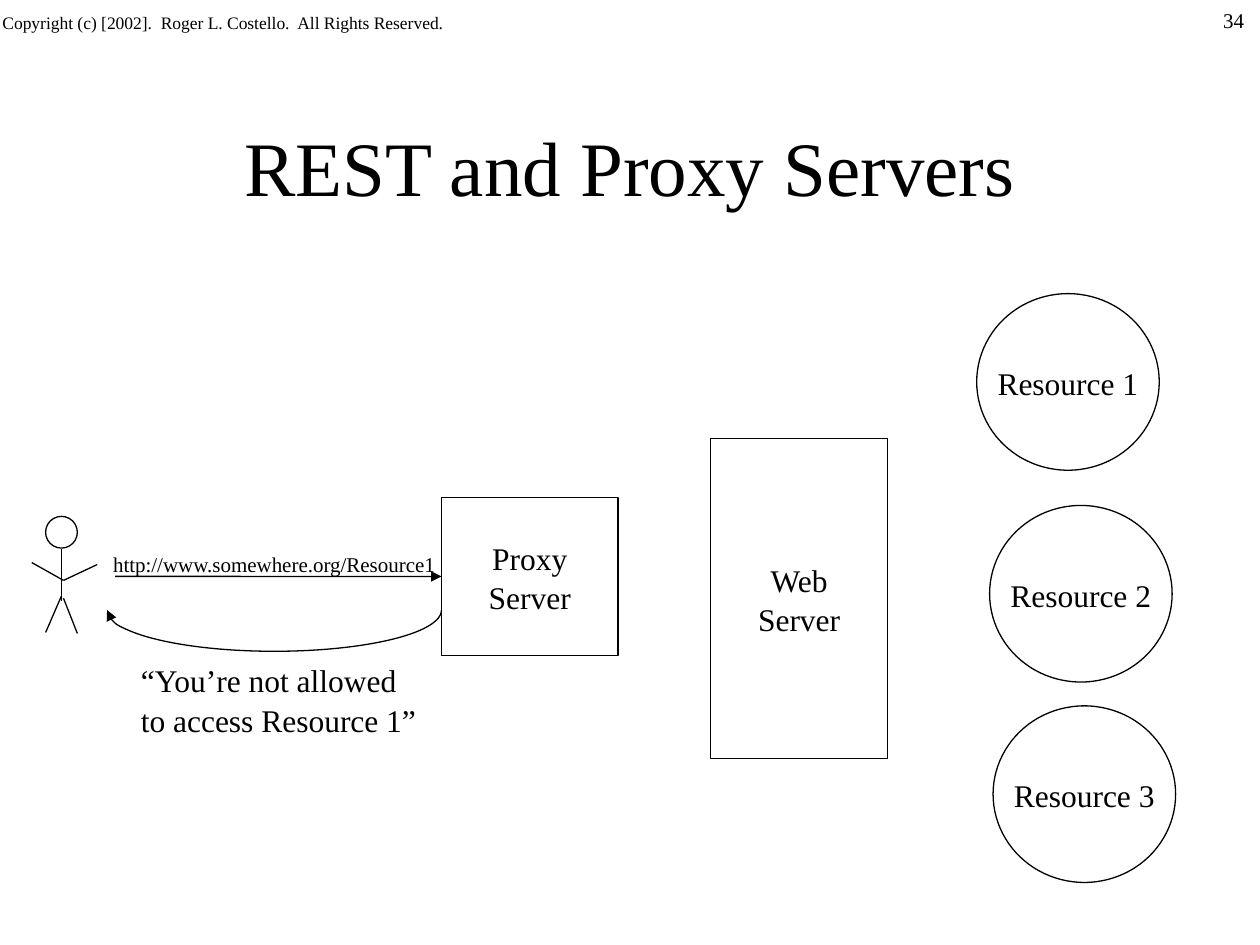
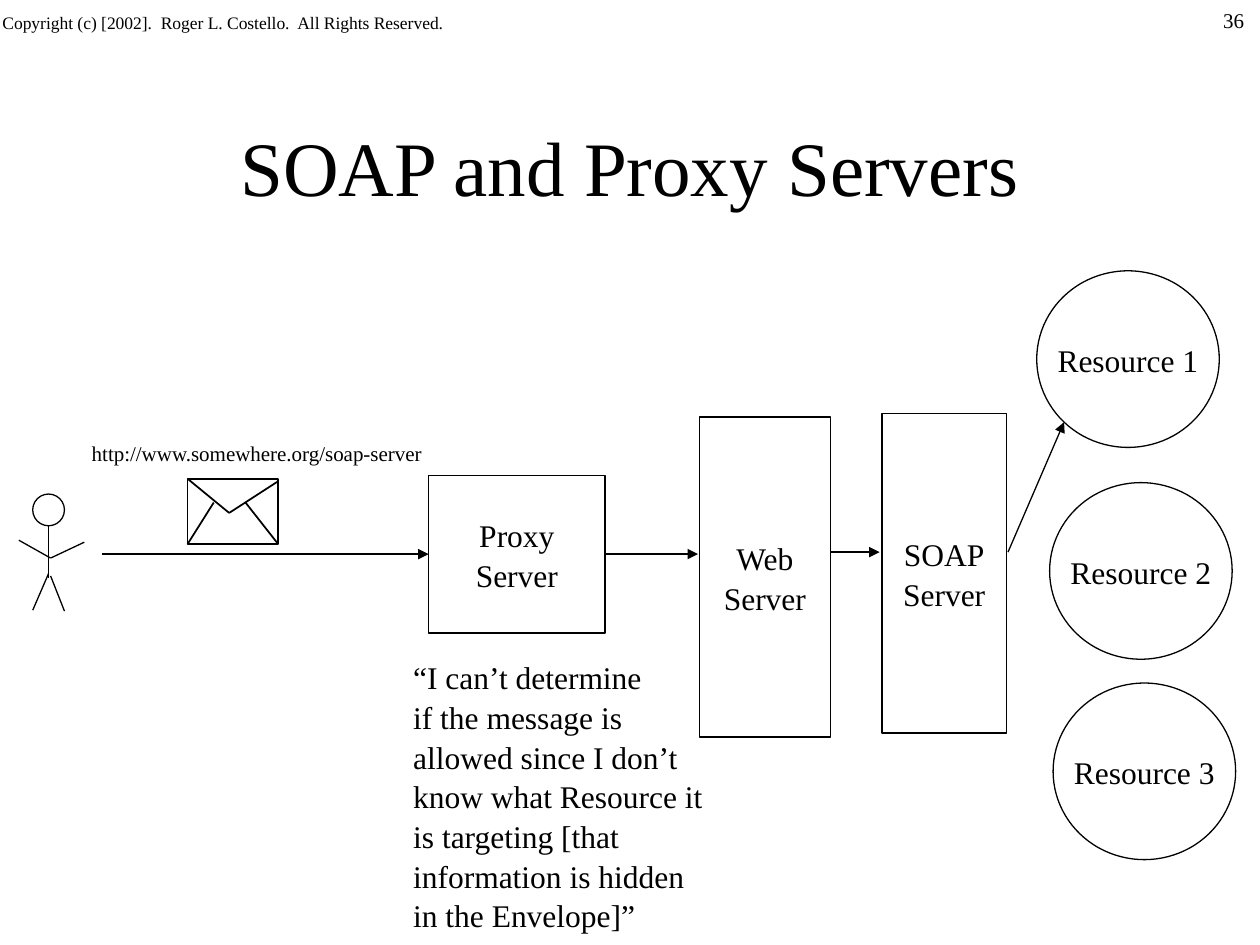
from lxml import etree
from pptx import Presentation
from pptx import util as u
from pptx.dml.color import RGBColor
from pptx.enum import shapes, text
from pptx.oxml.ns import qn

COLOURS = {"ink": "000000", "paper": "FFFFFF"}
FONT = "Times New Roman"
COPYRIGHT = "Copyright (c) [2002].  Roger L. Costello.  All Rights Reserved."
PROXY_LEFT, PROXY_SIZE = 8.26, (3.56, 3.18)
SERVER_HEIGHT = 6.45
RESOURCE_SIZE = (3.68, 3.56)
RESOURCE_OFFSETS = [(0, 0), (0.26, 4.27), (0.33, 8.31)]


def colour(name):
    """Return the named colour."""
    return RGBColor.from_string(COLOURS[name])


def cm(*lengths):
    """Turn centimetres into slide lengths."""
    return [u.Cm(length) for length in lengths]


def write(shape, lines, size, align=text.PP_ALIGN.LEFT, wrap=False):
    """Write one paragraph per line into a shape."""
    frame = shape.text_frame
    frame.word_wrap = wrap
    for index, line in enumerate(lines):
        para = frame.paragraphs[0] if index == 0 else frame.add_paragraph()
        para.alignment = align
        para.line_spacing = 1.05
        span = para.add_run()
        span.text = line
        span.font.name = FONT
        span.font.size = u.Pt(size)
        span.font.color.rgb = colour("ink")
    return frame


def add_text(page, box, lines, size):
    """Add an unwrapped text box that fits its text."""
    label = page.shapes.add_textbox(*cm(*box))
    frame = write(label, lines, size)
    frame.auto_size = text.MSO_AUTO_SIZE.SHAPE_TO_FIT_TEXT


def add_outline(parent, kind, box, lines=(), width=0.75):
    """Add a white outlined shape with centred text."""
    shape = parent.shapes.add_shape(kind, *cm(*box))
    shape.shadow.inherit = False
    shape.fill.solid()
    shape.fill.fore_color.rgb = colour("paper")
    shape.line.color.rgb = colour("ink")
    shape.line.width = u.Pt(width)
    if lines:
        frame = write(shape, lines, 18, text.PP_ALIGN.CENTER)
        frame.vertical_anchor = text.MSO_ANCHOR.MIDDLE
    return shape


def add_arrowhead(shape):
    """Put a triangle at the end of a line."""
    outline = shape.line.fill._xPr
    etree.SubElement(outline, qn("a:tailEnd"), type="triangle")


def add_line(parent, start, end, width=0.75, arrow=False):
    """Add a straight line, with an arrowhead if wanted."""
    line = parent.shapes.add_connector(
        shapes.MSO_CONNECTOR.STRAIGHT, *cm(*start, *end))
    line.line.color.rgb = colour("ink")
    line.line.width = u.Pt(width)
    if arrow:
        add_arrowhead(line)
    etree.SubElement(line._element.spPr, qn("a:effectLst"))
    return line


def add_strokes(parent, left, top, strokes, width=0.75):
    """Draw lines given relative to a corner."""
    for x1, y1, x2, y2 in strokes:
        add_line(parent, (left + x1, top + y1), (left + x2, top + y2), width)


def add_frame(deck, title, number):
    """Start a page with its copyright, number and title."""
    page = deck.slides.add_slide(deck.slide_layouts[6])
    page.background.fill.solid()
    page.background.fill.fore_color.rgb = colour("paper")
    add_text(page, (-0.2, 0.1, 9.68, 0.68), [COPYRIGHT], 10)
    add_text(page, (24.41, 0, 0.99, 0.76), [number], 12)
    heading = page.shapes.add_textbox(*cm(1.9, 1.7, 21.59, 3.18))
    frame = write(heading, [title], 44, text.PP_ALIGN.CENTER, wrap=True)
    frame.vertical_anchor = text.MSO_ANCHOR.MIDDLE
    return page


def add_person(page, left, top):
    """Draw a stick figure as one group."""
    person = page.shapes.add_group_shape()
    add_outline(person, shapes.MSO_SHAPE.OVAL, (left + 0.28, top, 0.64, 0.64))
    add_strokes(person, left, top, [
        (0.6, 0.65, 0.6, 1.7),
        (0.64, 1.29, 0, 0.93),
        (0.64, 1.29, 1.32, 0.97),
        (0.6, 1.6, 0.28, 2.34),
        (0.64, 1.65, 0.92, 2.36),
    ])


def add_client(page, left, top):
    """Draw the person, the request arrow and the proxy server."""
    proxy = add_outline(page, shapes.MSO_SHAPE.RECTANGLE,
                        (left + PROXY_LEFT, top, *PROXY_SIZE), ["Proxy", "Server"])
    add_person(page, left, top + 0.38)
    middle = top + PROXY_SIZE[1] / 2
    request = add_line(page, (left + 1.68, middle), (left + PROXY_LEFT, middle),
                       arrow=True)
    request.end_connect(proxy, 1)
    return proxy


def add_server(page, left, top, width, name):
    """Draw a tall server box."""
    return add_outline(page, shapes.MSO_SHAPE.RECTANGLE,
                       (left, top, width, SERVER_HEIGHT), [name, "Server"])


def add_resources(page, left, top):
    """Draw the column of resources."""
    for number, (dx, dy) in enumerate(RESOURCE_OFFSETS, 1):
        add_outline(page, shapes.MSO_SHAPE.OVAL,
                    (left + dx, top + dy, *RESOURCE_SIZE), [f"Resource {number}"])


def add_reply(page, left, top, width, height):
    """Draw the lower half of an ellipse as a reply arrow."""
    reply = add_outline(page, shapes.MSO_SHAPE.ARC, (left, top, width, height))
    reply.fill.background()
    reply.adjustments[0] = 0
    reply.adjustments[1] = 108
    add_arrowhead(reply)


def add_envelope(page, left, top, width, height):
    """Draw a sealed envelope as one group."""
    envelope = page.shapes.add_group_shape()
    add_outline(envelope, shapes.MSO_SHAPE.RECTANGLE,
                (left, top, width, height), width=1)
    add_strokes(envelope, left, top, [
        (0, 0, 0.84, 0.69),
        (0.84, 0.69, width, 0.05),
        (0, height, 0.53, 0.48),
        (width, height, 1.17, 0.48),
    ], width=1)


def build_rest(deck):
    """Build the page on REST."""
    page = add_frame(deck, "REST and Proxy Servers", "34")
    add_server(page, 14.33, 8.84, 3.56, "Web")
    add_resources(page, 19.69, 5.92)
    add_client(page, 0.64, 10.03)
    add_text(page, (2.03, 10.97, 7.06, 0.76),
             ["http://www.somewhere.org/Resource1"], 12)
    add_reply(page, 2.16, 11.47, 6.74, 1.66)
    add_text(page, (2.59, 13.16, 6.07, 1.78),
             ["“You’re not allowed", "to access Resource 1”"], 18)


def build_soap(deck):
    """Build the page on SOAP."""
    page = add_frame(deck, "SOAP and Proxy Servers", "36")
    add_server(page, 14.1, 8.41, 2.64, "Web")
    add_resources(page, 20.9, 5.46)
    proxy = add_client(page, 0.38, 9.58)
    add_text(page, (1.6, 8.74, 7.21, 0.76),
             ["http://www.somewhere.org/soap-server"], 12)
    add_server(page, 17.78, 8.33, 2.51, "SOAP")
    forward = add_line(page, (12.2, 11.17), (14.07, 11.17), arrow=True)
    forward.begin_connect(proxy, 3)
    add_line(page, (16.76, 11.13), (17.73, 11.13), arrow=True)
    add_line(page, (20.32, 11.13), (21.45, 8.51), arrow=True)
    add_envelope(page, 3.78, 9.65, 1.83, 1.32)
    add_text(page, (8.08, 13.11, 6.5, 5.59), [
        "“I can’t determine",
        "if the message is",
        "allowed since I don’t",
        "know what Resource it",
        "is targeting [that",
        "information is hidden",
        "in the Envelope]”",
    ], 18)


def main():
    """Build and save the deck."""
    deck = Presentation()
    deck.slide_width, deck.slide_height = cm(25.4, 19.05)
    build_rest(deck)
    build_soap(deck)
    deck.save("out.pptx")


if __name__ == "__main__":
    main()
